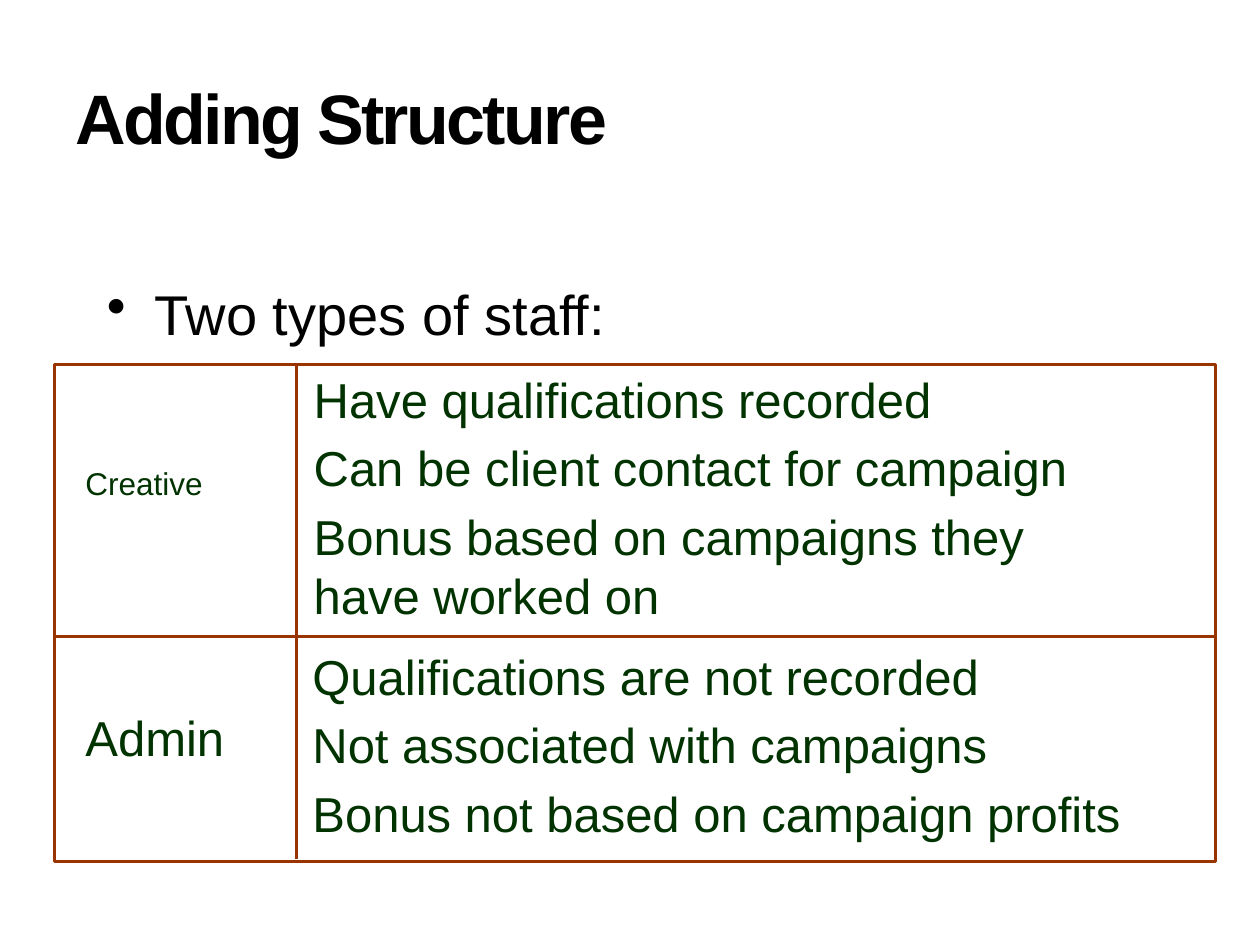
from dataclasses import dataclass

from lxml import etree
from pptx import Presentation
from pptx.dml.color import RGBColor
from pptx.enum.shapes import MSO_CONNECTOR, MSO_SHAPE
from pptx.enum.text import MSO_ANCHOR
from pptx.oxml.ns import qn
from pptx.util import Inches, Pt

RECT = MSO_SHAPE.RECTANGLE
LINE = MSO_CONNECTOR.STRAIGHT
TOP, MIDDLE = MSO_ANCHOR.TOP, MSO_ANCHOR.MIDDLE

BLACK, GREEN, BROWN = "000000", "003300", "993300"
LEFT, RIGHT, UPPER, LOWER = 0.43, 9.65, 2.89, 6.84
SPLIT, ROW = 2.35, 5.05


@dataclass
class Note:
    box: tuple[float, float, float, float]
    lines: list[str]
    size: float
    color: str = GREEN
    bold: bool = False
    anchor: MSO_ANCHOR = TOP
    pad: float = 0.1
    margin: float = 0
    bullet: str = ""
    track: float = 0


NOTES = [
    # Heading and lead
    Note((0.5, 0.3, 9, 1.25), ["Adding Structure"], 40, BLACK,
         bold=True, anchor=MIDDLE, track=-1.5),
    Note((0.75, 2.17, 8.28, 4.5), ["Two types of staff:"], 32, BLACK,
         margin=0.38, bullet="•"),
    # Creative staff
    Note((1.97, 2.88, 6.83, 2.16),
         ["Have qualifications recorded",
          "Can be client contact for campaign",
          "Bonus based on campaigns they have worked on"],
         28, pad=0.02, margin=0.5),
    Note((0.58, 3.63, 1.84, 0.64), ["Creative"], 18),
    # Admin staff
    Note((0.58, 5.57, 1.54, 0.57), ["Admin"], 28),
    Note((1.96, 5.08, 7.47, 1.69),
         ["Qualifications are not recorded",
          "Not associated with campaigns",
          "Bonus not based on campaign profits"],
         28, pad=0.02, margin=0.5),
]


def rgb(code: str) -> RGBColor:
    return RGBColor.from_string(code)


def style(item, values: dict) -> None:
    for name, value in values.items():
        setattr(item, name, value)


def draw_note(slide, note: Note) -> None:
    frame = slide.shapes.add_textbox(*map(Inches, note.box)).text_frame
    style(frame, {
        "word_wrap": True,
        "vertical_anchor": note.anchor,
        "margin_left": Inches(note.pad),
        "margin_right": Inches(note.pad),
    })
    for i, text in enumerate(note.lines):
        para = frame.add_paragraph() if i else frame.paragraphs[0]
        props = para._p.get_or_add_pPr()
        if note.margin:
            props.set("marL", str(Inches(note.margin)))
        if note.bullet:
            props.set("indent", str(-Inches(note.margin)))
            etree.SubElement(props, qn("a:buChar"), char=note.bullet)
        if i:
            para.space_before = Pt(note.size * 0.2)
        run = para.add_run()
        run.text = text
        style(run.font, {"name": "Arial", "size": Pt(note.size), "bold": note.bold})
        run.font.color.rgb = rgb(note.color)
        if note.track:
            run.font._element.set("spc", str(int(note.track * 100)))


def stroke(shape) -> None:
    shape.line.color.rgb = rgb(BROWN)
    shape.line.width = Pt(1.75)


def draw_rule(slide, x1: float, y1: float, x2: float, y2: float) -> None:
    rule = slide.shapes.add_connector(LINE, *map(Inches, (x1, y1, x2, y2)))
    stroke(rule)
    etree.SubElement(rule._element.spPr, qn("a:effectLst"))


def main() -> None:
    deck = Presentation()
    style(deck, {"slide_width": Inches(10), "slide_height": Inches(7.5)})
    slide = deck.slides.add_slide(deck.slide_layouts[6])

    for note in NOTES:
        draw_note(slide, note)

    # Frame with its two dividers
    edges = (LEFT, UPPER, RIGHT - LEFT, LOWER - UPPER)
    frame = slide.shapes.add_shape(RECT, *map(Inches, edges))
    frame.shadow.inherit = False
    frame.fill.background()
    stroke(frame)
    draw_rule(slide, LEFT, ROW, RIGHT, ROW)
    draw_rule(slide, SPLIT, UPPER, SPLIT, LOWER - 0.02)

    deck.save("out.pptx")


if __name__ == "__main__":
    main()
